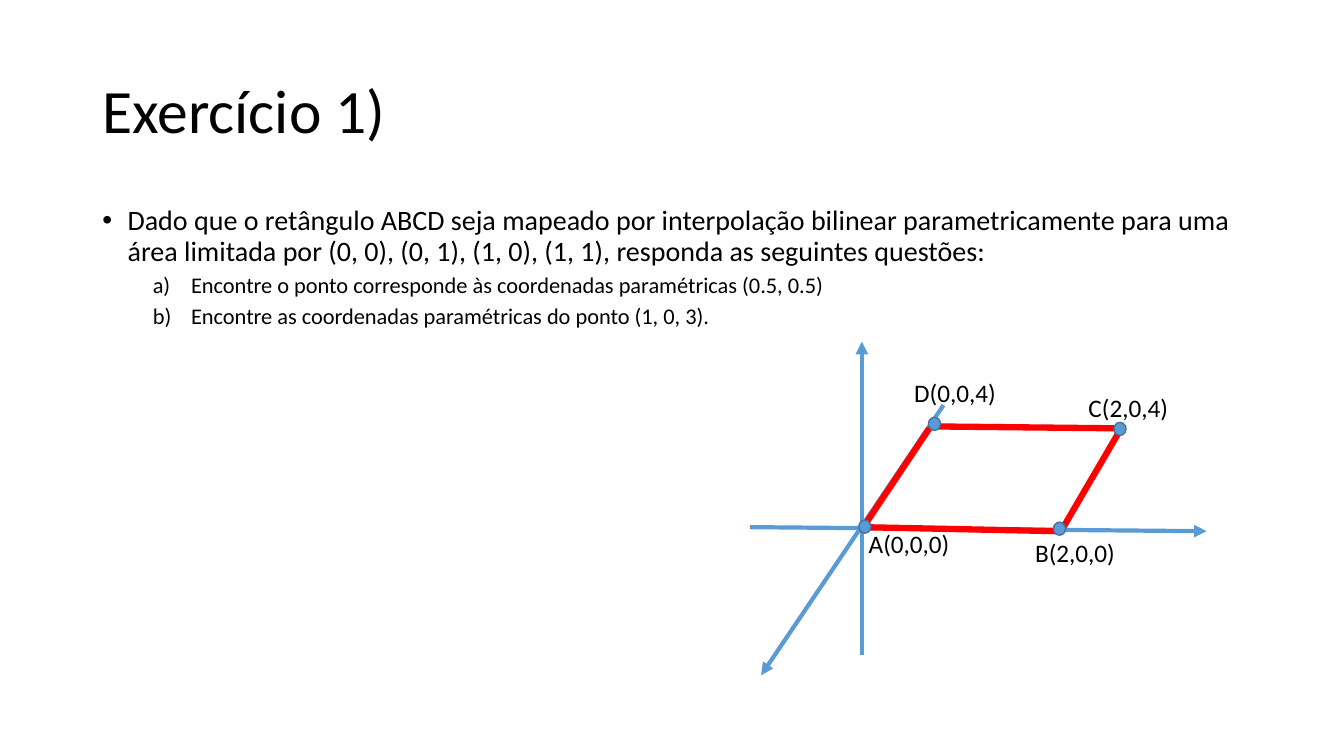
from dataclasses import dataclass

from lxml import etree
from pptx import Presentation
from pptx import util as u
from pptx.dml.color import RGBColor
from pptx.enum import shapes, text
from pptx.oxml import ns

BLACK = RGBColor(0x00, 0x00, 0x00)
BLUE = RGBColor(0x5B, 0x9B, 0xD5)
DARK_BLUE = RGBColor(0x43, 0x73, 0x9E)
RED = RGBColor(0xFF, 0x00, 0x00)
FONT = "Calibri"
BULLET_FONT = "Arial"
WIDTH, HEIGHT = u.Inches(13.33), u.Inches(7.5)


# Positions and sizes are percentages of the slide's width and height
@dataclass(frozen=True)
class Segment:
    x1: float
    y1: float
    x2: float
    y2: float


@dataclass(frozen=True)
class Vertex:
    name: str
    dot_x: float
    dot_y: float
    label_x: float
    label_y: float


@dataclass(frozen=True)
class Item:
    words: str
    level: int
    size: int
    before: int
    margin: float
    hanging: float
    bullet: str
    setting: dict


TITLE_AREA = (6.88, 5.33, 86.25, 19.33)
BODY_AREA = (6.88, 26.67, 86.25, 63.47)
DOT_SIZE = (0.9, 1.73)
LABEL_SIZE = (7.8, 5.33)

LETTERED = (1, 16, 5, 0.88, 0.38, "a:buAutoNum", {"type": "alphaLcParenR"})
ITEMS = [
    Item("Dado que o retângulo ABCD seja mapeado por interpolação bilinear "
         "parametricamente para uma área limitada por (0, 0), (0, 1), (1, 0), "
         "(1, 1), responda as seguintes questões:",
         0, 20, 10, 0.25, 0.25, "a:buChar", {"char": "•"}),
    Item("Encontre o ponto corresponde às coordenadas paramétricas (0.5, 0.5)",
         *LETTERED),
    Item("Encontre as coordenadas paramétricas do ponto (1, 0, 3).", *LETTERED),
]
AXES = [
    Segment(64.13, 86.67, 64.13, 45.2),
    Segment(70.2, 53.6, 56.63, 89.33),
    Segment(55.8, 69.73, 89.78, 70.27),
]
EDGES = [
    Segment(69.08, 56.4, 83.78, 56.67),
    Segment(69.15, 56.67, 64.13, 70),
    Segment(78.9, 70.27, 64.05, 69.73),
    Segment(83.55, 56.27, 78.9, 70.4),
]
VERTICES = [
    Vertex("A(0,0,0)", 63.9, 68.8, 63.9, 69.2),
    Vertex("B(2,0,0)", 78.38, 69.07, 76.28, 70.4),
    Vertex("C(2,0,4)", 82.88, 55.87, 80.25, 51.2),
    Vertex("D(0,0,4)", 69.08, 55.2, 67.28, 49.2),
]


def place(x: float, y: float, *more: float) -> list[int]:
    """Turn alternating horizontal and vertical percentages into lengths."""
    return [round((HEIGHT if i % 2 else WIDTH) * share / 100)
            for i, share in enumerate((x, y, *more))]


def add_span(para, words: str, size: int) -> None:
    span = para.add_run()
    span.text = words
    span.font.name = FONT
    span.font.size = u.Pt(size)
    span.font.color.rgb = BLACK


def write_title(slide, words: str) -> None:
    title = slide.shapes.title
    title.left, title.top, title.width, title.height = place(*TITLE_AREA)
    frame = title.text_frame
    frame.auto_size = text.MSO_AUTO_SIZE.NONE
    frame.vertical_anchor = text.MSO_ANCHOR.MIDDLE
    para = frame.paragraphs[0]
    para.alignment = text.PP_ALIGN.LEFT
    para.line_spacing = 0.9
    add_span(para, words, 44)


def write_items(slide, items: list[Item]) -> None:
    frame = slide.shapes.add_textbox(*place(*BODY_AREA)).text_frame
    frame.word_wrap = True
    for i, item in enumerate(items):
        para = frame.add_paragraph() if i else frame.paragraphs[0]
        para.level = item.level
        para.line_spacing = 0.9
        para.space_before = u.Pt(item.before)
        props = para._p.get_or_add_pPr()
        props.set("marL", str(u.Inches(item.margin)))
        props.set("indent", str(-u.Inches(item.hanging)))
        if item.bullet == "a:buChar":
            etree.SubElement(props, ns.qn("a:buFont"), {"typeface": BULLET_FONT})
        etree.SubElement(props, ns.qn(item.bullet), item.setting)
        add_span(para, item.words, item.size)


def draw_segment(slide, segment: Segment, color: RGBColor, points: float,
                 arrow: bool = False) -> None:
    ends = place(segment.x1, segment.y1, segment.x2, segment.y2)
    line = slide.shapes.add_connector(shapes.MSO_CONNECTOR.STRAIGHT, *ends)
    line.line.color.rgb = color
    line.line.width = u.Pt(points)
    props = line.element.spPr
    if arrow:
        stroke = props.find(ns.qn("a:ln"))
        etree.SubElement(stroke, ns.qn("a:tailEnd"), {"type": "triangle"})
    etree.SubElement(props, ns.qn("a:effectLst"))


def draw_dot(slide, vertex: Vertex) -> None:
    dot = slide.shapes.add_shape(
        shapes.MSO_SHAPE.OVAL, *place(vertex.dot_x, vertex.dot_y, *DOT_SIZE))
    dot.shadow.inherit = False
    dot.fill.solid()
    dot.fill.fore_color.rgb = BLUE
    dot.line.color.rgb = DARK_BLUE
    dot.line.width = u.Pt(1)


def write_label(slide, vertex: Vertex) -> None:
    box = slide.shapes.add_textbox(
        *place(vertex.label_x, vertex.label_y, *LABEL_SIZE))
    frame = box.text_frame
    frame.word_wrap = False
    frame.auto_size = text.MSO_AUTO_SIZE.SHAPE_TO_FIT_TEXT
    para = frame.paragraphs[0]
    para.alignment = text.PP_ALIGN.LEFT
    add_span(para, vertex.name, 18)


def main() -> None:
    deck = Presentation()
    deck.slide_width, deck.slide_height = WIDTH, HEIGHT
    page = deck.slides.add_slide(deck.slide_layouts.get_by_name("Title Only"))

    # Exercise text
    write_title(page, "Exercício 1)")
    write_items(page, ITEMS)

    # Axes, then the quadrilateral with its corners and labels
    for axis in AXES:
        draw_segment(page, axis, BLUE, 3, arrow=True)
    for edge in EDGES:
        draw_segment(page, edge, RED, 4.5)
    for vertex in VERTICES:
        draw_dot(page, vertex)
    for vertex in VERTICES:
        write_label(page, vertex)

    deck.save("out.pptx")


if __name__ == "__main__":
    main()
